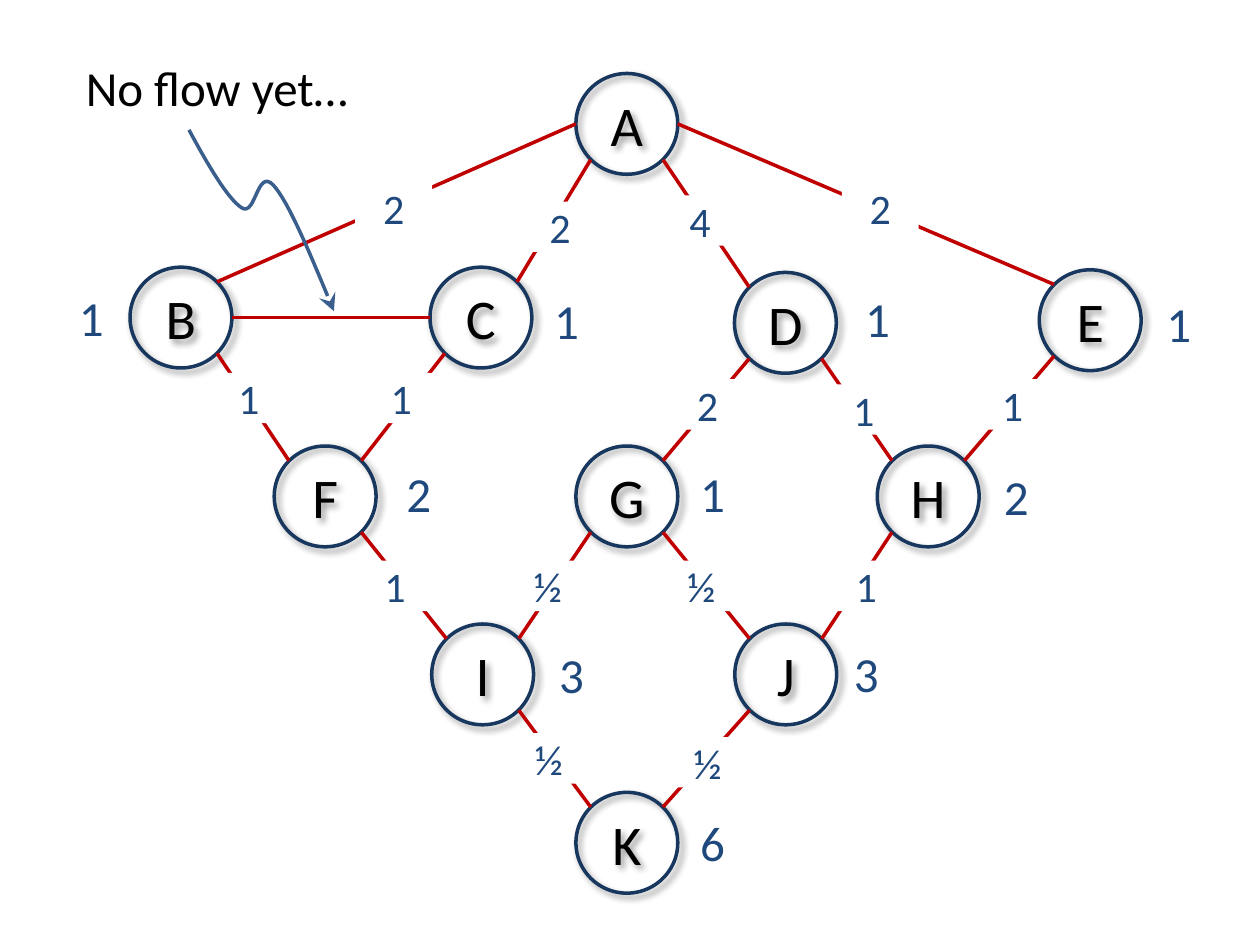
"""Build a slide with a graph of nodes A to K, their scores and edge flows."""
from lxml import etree
from pptx import Presentation
from pptx.dml.color import RGBColor
from pptx.enum.shapes import MSO_CONNECTOR, MSO_SHAPE
from pptx.enum.text import MSO_ANCHOR, PP_ALIGN
from pptx.oxml import parse_xml
from pptx.oxml.ns import nsdecls, qn
from pptx.util import Pt

OVAL, RECT = MSO_SHAPE.OVAL, MSO_SHAPE.RECTANGLE
LINE, MID, TOP = MSO_CONNECTOR.STRAIGHT, MSO_ANCHOR.MIDDLE, MSO_ANCHOR.TOP
CENTER = PP_ALIGN.CENTER
FONT = "Calibri"
COLORS = {"ring": "17375E", "edge": "C00000", "label": "1F497D",
          "text": "000000", "back": "FFFFFF", "arrow": "3A5F8C"}

NODES = {
    "A": (358.2, 70.8), "B": (103.4, 181.5), "C": (274.8, 181.5),
    "D": (448.8, 184.5), "E": (623, 183), "F": (185.8, 283.7),
    "G": (358.2, 283.7), "H": (530.4, 283.7), "I": (275.8, 385.4),
    "J": (449, 385.4), "K": (358.2, 481.6),
}
SCORES = [
    ("1", 30.2, 160.6), ("1", 301.7, 162.7), ("1", 479.5, 161.3),
    ("1", 651.6, 164.2), ("2", 217.4, 261.4), ("1", 385.2, 261.4),
    ("2", 558.7, 262.8), ("3", 304.6, 365), ("3", 473, 364.3),
    ("6", 385.2, 460.8),
]
EDGES = [
    ("A", "w", "B", "ne", "2", 203, 104.4),
    ("A", "sw", "C", "ne", "2", 298.1, 115.2),
    ("A", "se", "D", "nw", "4", 378, 111.6),
    ("A", "e", "E", "nw", "2", 481, 104.4),
    ("B", "e", "C", "w", "", 0, 0),
    ("B", "se", "F", "nw", "1", 120.2, 213.1),
    ("C", "sw", "F", "ne", "1", 207.4, 213.1),
    ("D", "sw", "G", "ne", "2", 382.3, 216.7),
    ("D", "se", "H", "nw", "1", 471.6, 219.6),
    ("E", "sw", "H", "ne", "1", 556.6, 216.7),
    ("F", "se", "I", "nw", "1", 203.8, 320.4),
    ("G", "sw", "I", "ne", "½ ", 293.8, 320.4),
    ("G", "se", "J", "nw", "½ ", 381.6, 320.4),
    ("H", "sw", "J", "ne", "1", 473, 320.4),
    ("I", "se", "K", "nw", "½ ", 294.5, 419),
    ("J", "sw", "K", "ne", "½ ", 385.2, 421.2),
]
NOTE = ("No flow yet…", 18, 29.5)
CURVE = [
    ((108, 74.2), (118.8, 94.3), (130.3, 113.8), (138.2, 118.8)),
    ((138.2, 118.8), (146.2, 123.8), (146.9, 95.8), (156.2, 105.8)),
    ((156.2, 105.8), (164.9, 115.2), (177.8, 146.2), (190.8, 177.8)),
]
WIDE, HIGH, DIAG = 58.2, 57.6, 0.71
SITES = {"w": (-1, 0), "e": (1, 0), "nw": (-DIAG, -DIAG),
         "ne": (DIAG, -DIAG), "sw": (-DIAG, DIAG), "se": (DIAG, DIAG)}
SHADOW = (
    f'<a:effectLst {nsdecls("a")}><a:outerShdw blurRad="50800" dist="38100" '
    'dir="2700000" algn="tl" rotWithShape="0"><a:srgbClr val="000000">'
    '<a:alpha val="40000"/></a:srgbClr></a:outerShdw></a:effectLst>')


def rgb(key):
    return RGBColor.from_string(COLORS[key])


def ink(line, key):
    line.color.rgb = rgb(key)
    line.width = Pt(2)


def write(shape, text, size, key, side=7.2, edge=3.6, anchor=TOP):
    frame = shape.text_frame
    frame.word_wrap = True
    frame.vertical_anchor = anchor
    frame.margin_left = frame.margin_right = Pt(side)
    frame.margin_top = frame.margin_bottom = Pt(edge)
    para = frame.paragraphs[0]
    para.alignment = CENTER
    run = para.add_run()
    run.text = text
    run.font.name, run.font.size = FONT, Pt(size)
    run.font.color.rgb = rgb(key)


def site(name, side):
    (x, y), (dx, dy) = NODES[name], SITES[side]
    return Pt(x + dx * WIDE / 2), Pt(y + dy * HIGH / 2)


def add_node(shapes, name, x, y):
    ring = shapes.add_shape(OVAL, Pt(x - WIDE / 2), Pt(y - HIGH / 2), Pt(WIDE), Pt(HIGH))
    ring.fill.background()
    ink(ring.line, "ring")
    ring._element.spPr.append(parse_xml(SHADOW))
    write(ring, name, 32, "text", side=0, anchor=MID)


def add_edge(shapes, start, out, end, into):
    edge = shapes.add_connector(LINE, *site(start, out), *site(end, into))
    ink(edge.line, "edge")
    etree.SubElement(edge._element.spPr, qn("a:effectLst"))


def add_flow(shapes, text, x, y):
    box = shapes.add_shape(RECT, Pt(x), Pt(y), Pt(43.9), Pt(28.8))
    box.shadow.inherit = False
    box.fill.solid()
    box.fill.fore_color.rgb = rgb("back")
    box.line.fill.background()
    write(box, text, 24, "label", edge=0)


def add_text(shapes, text, x, y, width, key):
    box = shapes.add_textbox(Pt(x), Pt(y), Pt(width), Pt(41))
    write(box, text, 28, key)


def bezier(ends, t):
    s = 1 - t
    parts = (s ** 3, 3 * s * s * t, 3 * s * t * t, t ** 3)
    return tuple(Pt(sum(p * v for p, v in zip(parts, axis))) for axis in zip(*ends))


def add_arrow(shapes, steps=16):
    dots = [bezier(part, n / steps) for part in CURVE for n in range(1, steps + 1)]
    pen = shapes.build_freeform(*bezier(CURVE[0], 0))
    pen.add_line_segments(dots, close=False)
    arrow = pen.convert_to_shape()
    arrow.shadow.inherit = False
    arrow.fill.background()
    ink(arrow.line, "arrow")
    tail = etree.SubElement(arrow.line._get_or_add_ln(), qn("a:tailEnd"))
    tail.set("type", "stealth")
    tail.set("w", "lg")
    tail.set("len", "lg")


def main():
    deck = Presentation()
    deck.slide_width, deck.slide_height = Pt(720), Pt(540)
    shapes = deck.slides.add_slide(deck.slide_layouts[6]).shapes
    for name, (x, y) in NODES.items():
        add_node(shapes, name, x, y)
    for start, out, end, into, *_ in EDGES:
        add_edge(shapes, start, out, end, into)
    for text, x, y in SCORES:
        add_text(shapes, text, x, y, 43.9, "label")
    add_text(shapes, *NOTE, 211.7, "text")
    for *_, text, x, y in EDGES:
        if text:
            add_flow(shapes, text, x, y)
    add_arrow(shapes)
    deck.save("out.pptx")


if __name__ == "__main__":
    main()
